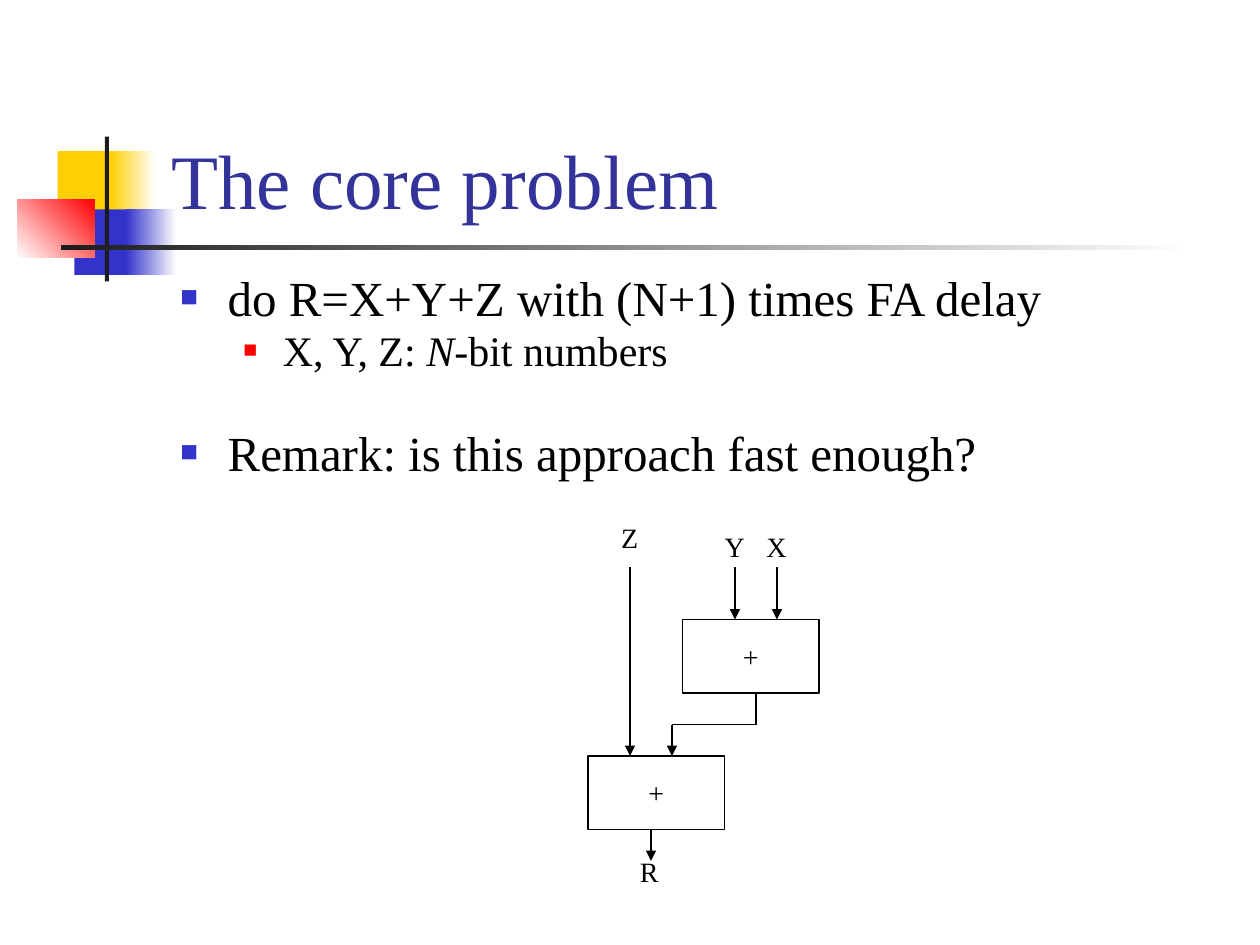
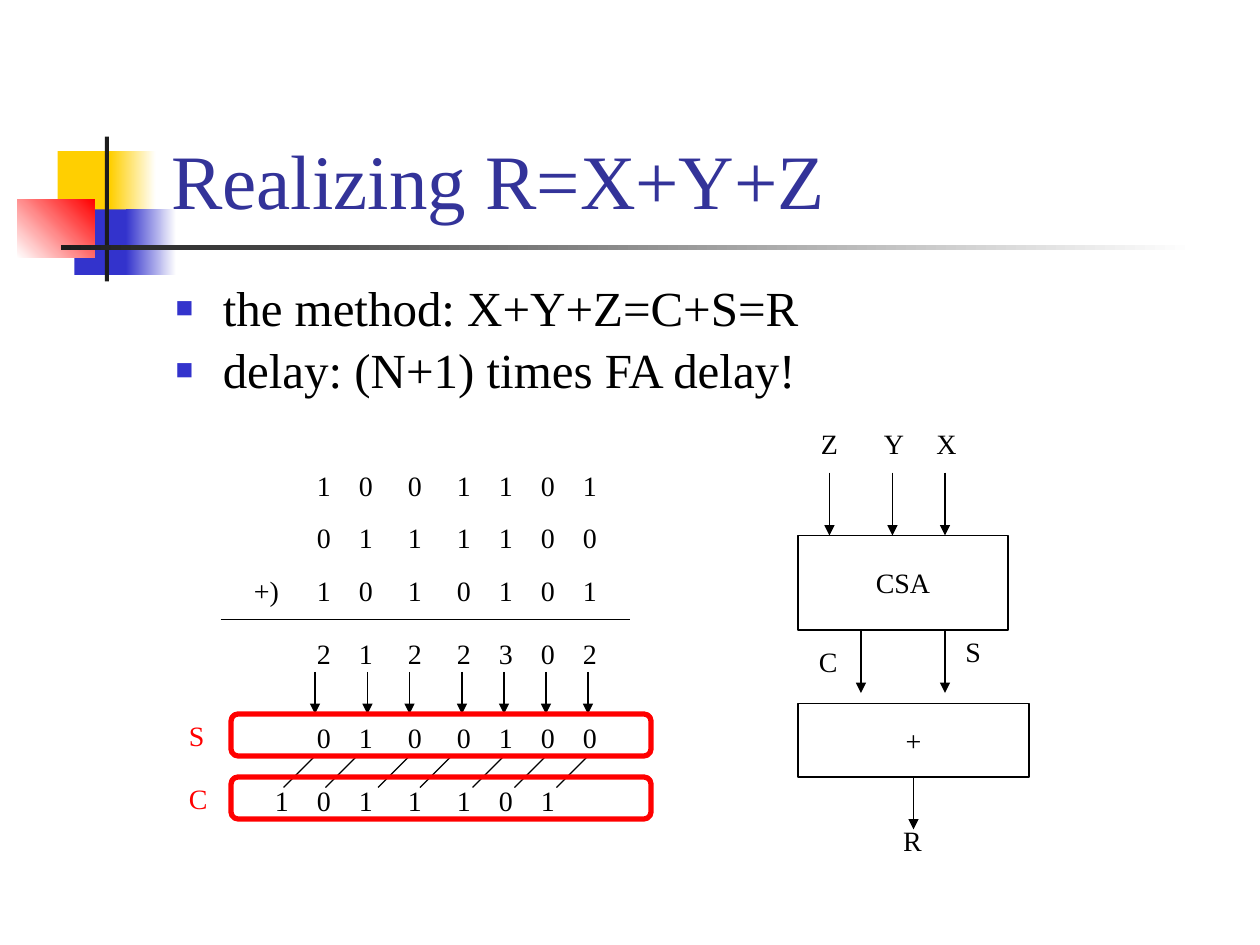
from lxml import etree
from pptx import Presentation
from pptx.dml.color import RGBColor
from pptx.enum import shapes, text
from pptx.oxml import ns
from pptx.util import Pt

FONT = "Times New Roman"
BLACK, WHITE, RED, BLUE = "000000", "FFFFFF", "FF0000", "3333CC"
YELLOW, CHARCOAL, TITLE_BLUE = "FFCF01", "1C1C1C", "333399"
RECT = shapes.MSO_SHAPE.RECTANGLE
ROUNDED = shapes.MSO_SHAPE.ROUNDED_RECTANGLE

DECORATION = [
    (33, 86.4, 34.5, 37.5, [YELLOW], 0),
    (63, 86.4, 26, 37.5, [YELLOW, WHITE], 0),
    (42.5, 119.6, 33, 37.5, [BLUE], 0),
    (72, 119.6, 28.8, 37.5, [BLUE, WHITE], 0),
    (9.8, 113.8, 44.2, 33.5, [WHITE, RED], 45),
    (59.9, 78, 2.4, 82.8, [CHARCOAL], 0),
    (34.8, 140.2, 648, 2.5, [CHARCOAL, WHITE], 0),
]
LEVELS = [
    {"margin": 27, "indent": -27, "size": 28, "colour": BLUE, "scale": 60, "before": 5.6},
    {"margin": 58.5, "indent": -22.5, "size": 24, "colour": RED, "scale": 55, "before": 4.8},
]

CORE = {
    "title": "The core problem",
    "body_place": (95.9, 155.7, 612, 131.8),
    "spacing": 0.8,
    "body": [
        (0, ["do R=X+Y+Z with (N+1) times FA delay"], None),
        (1, ["X, Y, Z: ", "*N", "-bit numbers"], None),
        (0, ["Remark: is this approach fast enough?"], 33.8),
    ],
    "boxes": [("+", 336, 432, 78, 42), ("+", 390, 354, 78, 42)],
    "lines": [(432, 396, 432, 414), (432, 414, 384, 414)],
    "arrows": [(384, 414, 384, 432), (360, 324, 360, 432), (444, 324, 444, 354),
               (420, 324, 420, 354), (372, 474, 372, 492)],
    "labels": [("X", 430.8, 298.8), ("Y", 407, 298.8), ("Z", 347.8, 293.8), ("R", 358.6, 484.6)],
}
CARRY_SAVE = {
    "title": "Realizing R=X+Y+Z",
    "body_place": (93.1, 158.6, 612, 74.9),
    "spacing": 0.9,
    "body": [
        (0, ["the method: X+Y+Z=C+S=R"], None),
        (0, ["delay: (N+1) times FA delay!"], None),
    ],
    "boxes": [("CSA", 456, 306, 120, 54), ("+", 456, 402, 132, 42)],
    "lines": [(126, 354, 360, 354)],
    "arrows": [(540, 270, 540, 306), (510, 270, 510, 306), (474, 270, 474, 306),
               (540, 360, 540, 396), (492, 360, 492, 396), (522, 444, 522, 474)],
    "labels": [("X", 528, 240), ("Y", 498, 240), ("Z", 462, 240), ("S", 544.5, 359),
               ("C", 460.8, 365), ("R", 509, 467), ("+)", 138, 324)],
}
DIGIT_COLUMNS = [150, 174, 198, 226, 254, 278, 302, 326]
DIGIT_ROWS = [
    ("1001101", 1, 264), ("0111100", 1, 294), ("1010101", 1, 324),
    ("2122302", 1, 360), ("0100100", 1, 408), ("1011101", 0, 444),
]
SUM_ARROWS = [180, 210, 234, 264, 288, 312, 336]
CARRY_SLANTS = [180, 204, 234, 258, 288, 312, 336]
RESULT_FRAMES = [("S", 408), ("C", 444)]


def colour(value):
    return RGBColor.from_string(value)


def points(*values):
    return [Pt(value) for value in values]


def style(para, size, value=BLACK):
    para.font.name = FONT
    para.font.size = Pt(size)
    para.font.color.rgb = colour(value)


def add_child(parent, tag, **attributes):
    child = etree.SubElement(parent, ns.qn(tag))
    for key, value in attributes.items():
        child.set(key, str(value))
    return child


def decorate_master(page, master):
    for index, (left, top, width, height, colours, angle) in enumerate(DECORATION):
        block = page.shapes.add_shape(RECT, *points(left, top, width, height))
        block.shadow.inherit = False
        block.line.fill.background()
        if len(colours) == 1:
            block.fill.solid()
            block.fill.fore_color.rgb = colour(colours[0])
        else:
            block.fill.gradient()
            block.fill.gradient_angle = angle
            for stop, value in zip(block.fill.gradient_stops, colours):
                stop.color.rgb = colour(value)
        master.shapes.element.insert(2 + index, block.element)


def place(shape, left, top, width, height):
    shape.left, shape.top, shape.width, shape.height = points(left, top, width, height)


def fill_title(page, title):
    box = page.shapes.title
    place(box, 90.7, 17.1, 613.4, 115.2)
    box.text_frame.text = title
    box.text_frame.auto_size = text.MSO_AUTO_SIZE.NONE
    box.text_frame.vertical_anchor = text.MSO_ANCHOR.BOTTOM
    para = box.text_frame.paragraphs[0]
    para.alignment = text.PP_ALIGN.LEFT
    style(para, 44, TITLE_BLUE)


def fill_body(page, content):
    box = page.placeholders[1]
    place(box, *content["body_place"])
    frame = box.text_frame
    frame.auto_size = text.MSO_AUTO_SIZE.NONE
    for index, (depth, spans, before) in enumerate(content["body"]):
        para = frame.add_paragraph() if index else frame.paragraphs[0]
        level = LEVELS[depth]
        para.level = depth
        para.line_spacing = content["spacing"]
        para.space_before = Pt((before or level["before"]) if index else 0)
        properties = para._p.get_or_add_pPr()
        properties.set("marL", str(Pt(level["margin"])))
        properties.set("indent", str(Pt(level["indent"])))
        add_child(add_child(properties, "a:buClr"), "a:srgbClr", val=level["colour"])
        add_child(properties, "a:buSzPct", val=level["scale"] * 1000)
        add_child(properties, "a:buFont", typeface=FONT)
        add_child(properties, "a:buChar", char="■")
        style(para, level["size"])
        for words in spans:
            span = para.add_run()
            span.text = words.lstrip("*")
            if words.startswith("*"):
                span.font.italic = True


def add_box(page, words, left, top, width, height, kind=RECT, line=BLACK, weight=0.75):
    box = page.shapes.add_shape(kind, *points(left, top, width, height))
    box.shadow.inherit = False
    box.fill.background()
    box.line.color.rgb = colour(line)
    box.line.width = Pt(weight)
    if words:
        box.text_frame.text = words
        box.text_frame.word_wrap = False
        box.text_frame.vertical_anchor = text.MSO_ANCHOR.MIDDLE
        para = box.text_frame.paragraphs[0]
        para.alignment = text.PP_ALIGN.CENTER
        style(para, 16)
    return box


def add_line(page, start_x, start_y, end_x, end_y, arrow=False):
    line = page.shapes.add_connector(
        shapes.MSO_CONNECTOR.STRAIGHT, *points(start_x, start_y, end_x, end_y))
    line.line.color.rgb = colour(BLACK)
    line.line.width = Pt(0.75)
    properties = line.element.spPr
    if arrow:
        add_child(properties.find(ns.qn("a:ln")), "a:tailEnd", type="triangle")
    add_child(properties, "a:effectLst")


def add_label(page, words, left, top, value=BLACK, tabs=()):
    width = 180 if tabs else 16 + 10 * len(words)
    box = page.shapes.add_textbox(*points(left, top, width, 26.6))
    box.text_frame.word_wrap = True
    box.text_frame.margin_right = 0
    para = box.text_frame.paragraphs[0]
    if tabs:
        stops = add_child(para._p.get_or_add_pPr(), "a:tabLst")
        for stop in tabs:
            add_child(stops, "a:tab", pos=Pt(stop), algn="l")
    para.text = words
    style(para, 16, value)


def add_addition(page):
    for digits, first, top in DIGIT_ROWS:
        columns = DIGIT_COLUMNS[first:first + len(digits)]
        tabs = [column - columns[0] for column in columns[1:]]
        add_label(page, "\t".join(digits), columns[0], top, tabs=tabs)
    for x in SUM_ARROWS:
        add_line(page, x, 384, x, 408, arrow=True)
    for x in CARRY_SLANTS:
        add_line(page, x, 432, x - 18, 450)
    for name, top in RESULT_FRAMES:
        frame = add_box(page, "", 132, top, 240, 24, ROUNDED, RED, 3)
        frame.adjustments[0] = 0.17
        add_label(page, name, 100.8, top - 1.2, RED)


def add_page(deck, content):
    page = deck.slides.add_slide(deck.slide_layouts[1])
    fill_title(page, content["title"])
    fill_body(page, content)
    for box in content["boxes"]:
        add_box(page, *box)
    for line in content["lines"]:
        add_line(page, *line)
    for arrow in content["arrows"]:
        add_line(page, *arrow, arrow=True)
    for label in content["labels"]:
        add_label(page, *label)
    return page


def main():
    deck = Presentation()
    deck.slide_width, deck.slide_height = points(720, 540)
    core_page = add_page(deck, CORE)
    decorate_master(core_page, deck.slide_master)
    add_addition(add_page(deck, CARRY_SAVE))
    deck.save("out.pptx")


if __name__ == "__main__":
    main()
